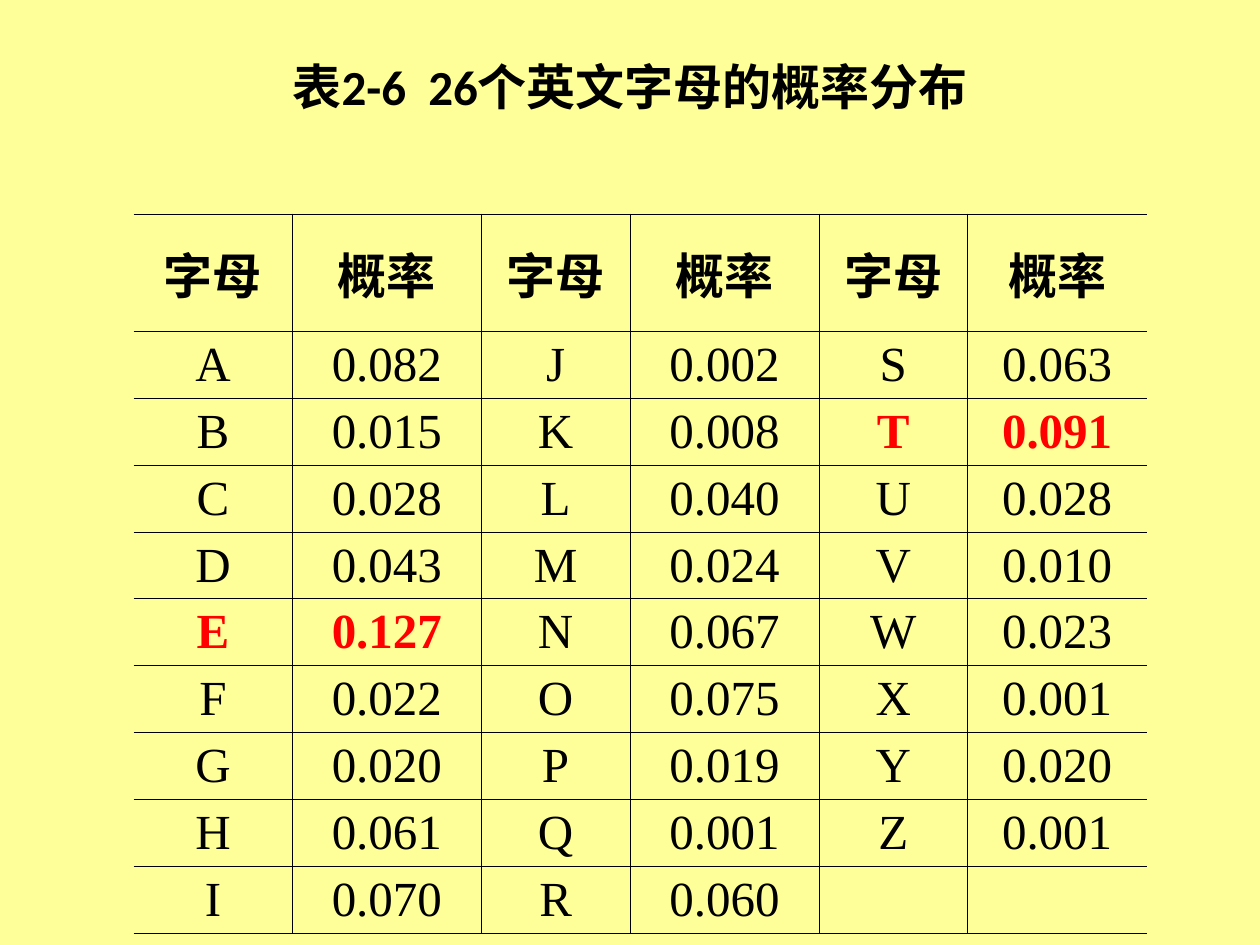
from lxml.etree import SubElement
from pptx import Presentation
from pptx.dml.color import RGBColor
from pptx.enum.text import MSO_ANCHOR, PP_ALIGN
from pptx.oxml.ns import qn
from pptx.util import Inches, Pt

BLACK = RGBColor(0x00, 0x00, 0x00)
RED = RGBColor(0xFF, 0x00, 0x00)
YELLOW = RGBColor(0xFF, 0xFF, 0x99)

HEAD = ["字母", "概率"] * 3
ODDS = {
    "A": 0.082, "B": 0.015, "C": 0.028, "D": 0.043, "E": 0.127, "F": 0.022,
    "G": 0.020, "H": 0.061, "I": 0.070, "J": 0.002, "K": 0.008, "L": 0.040,
    "M": 0.024, "N": 0.067, "O": 0.075, "P": 0.019, "Q": 0.001, "R": 0.060,
    "S": 0.063, "T": 0.091, "U": 0.028, "V": 0.010, "W": 0.023, "X": 0.001,
    "Y": 0.020, "Z": 0.001,
}
TOP = "ET"  # the two most frequent letters
DEPTH = 9   # letters in each column
WIDTHS = [1.26, 1.5, 1.18, 1.5, 1.18, 1.42]
HEIGHTS = [0.93] + [0.47] * DEPTH
THIN, THICK = 0.45, 0.75


def style(font, **extra):
    form = {"size": Pt(28), "name": "Times New Roman", "bold": False} | extra
    color = form.pop("color", BLACK)
    for key, value in form.items():
        setattr(font, key, value)
    font.color.rgb = color


def add_title(slide):
    title = slide.shapes.title
    box = {"left": 0.75, "top": 0.14, "width": 8.5, "height": 1.09}
    for key, value in box.items():
        setattr(title, key, Inches(value))
    title.text_frame.vertical_anchor = MSO_ANCHOR.MIDDLE
    para = title.text_frame.paragraphs[0]
    para.alignment = PP_ALIGN.CENTER
    for text, gap in (("表2-6", 0), (" ", 630), ("26个英文字母的概率分布", 0)):
        run = para.add_run()
        run.text = text
        style(run.font, name="Calibri", bold=True)
        if gap:  # widen the space after the table number
            run.font._element.set("spc", str(gap))


def add_edge(cell, side, width):
    line = SubElement(cell._tc.get_or_add_tcPr(), qn(f"a:ln{side}"),
                      w=str(int(Pt(width))))
    if width:
        fill = SubElement(line, qn("a:solidFill"))
        SubElement(fill, qn("a:srgbClr"), val=str(BLACK))
    else:
        SubElement(line, qn("a:noFill"))


def fill_cell(cell, text, **form):
    cell.fill.background()
    cell.vertical_anchor = MSO_ANCHOR.MIDDLE
    cell.margin_left = cell.margin_right = Inches(0.08)
    cell.margin_top = cell.margin_bottom = Inches(0.05)
    para = cell.text_frame.paragraphs[0]
    para.alignment = PP_ALIGN.CENTER
    if text:
        run = para.add_run()
        run.text = text
        style(run.font, **form)


def make_rows():
    # Letters run down each pair of columns
    pairs = [(key, f"{value:.3f}") for key, value in ODDS.items()]
    pairs += [("", "")] * (-len(pairs) % DEPTH)
    return [[text for pair in pairs[row::DEPTH] for text in pair]
            for row in range(DEPTH)]


def add_grid(slide):
    rows = [HEAD] + make_rows()
    last, end = len(rows) - 1, len(HEAD) - 1
    table = slide.shapes.add_table(
        len(rows), len(HEAD), Inches(1.06), Inches(1.7),
        Inches(sum(WIDTHS)), Inches(sum(HEIGHTS))).table
    table.first_row = table.horz_banding = False
    for col, width in zip(table.columns, WIDTHS):
        col.width = Inches(width)
    for row, height in zip(table.rows, HEIGHTS):
        row.height = Inches(height)
    for r, row in enumerate(rows):
        for c, text in enumerate(row):
            cell = table.cell(r, c)
            # Open sides, heavier top and bottom rules
            edges = {"L": THIN if c else 0, "R": THIN if c < end else 0,
                     "T": THIN if r else THICK,
                     "B": THIN if r < last else THICK}
            for side, width in edges.items():
                add_edge(cell, side, width)
            key = row[c - c % 2]
            hot = key != "" and key in TOP
            fill_cell(cell, text, bold=hot or r == 0,
                      color=RED if hot else BLACK)


def main():
    deck = Presentation()
    deck.slide_width, deck.slide_height = Inches(10), Inches(7.5)
    slide = deck.slides.add_slide(deck.slide_layouts[5])
    back = slide.background.fill
    back.solid()
    back.fore_color.rgb = YELLOW
    add_title(slide)
    add_grid(slide)
    deck.save("out.pptx")


if __name__ == "__main__":
    main()
